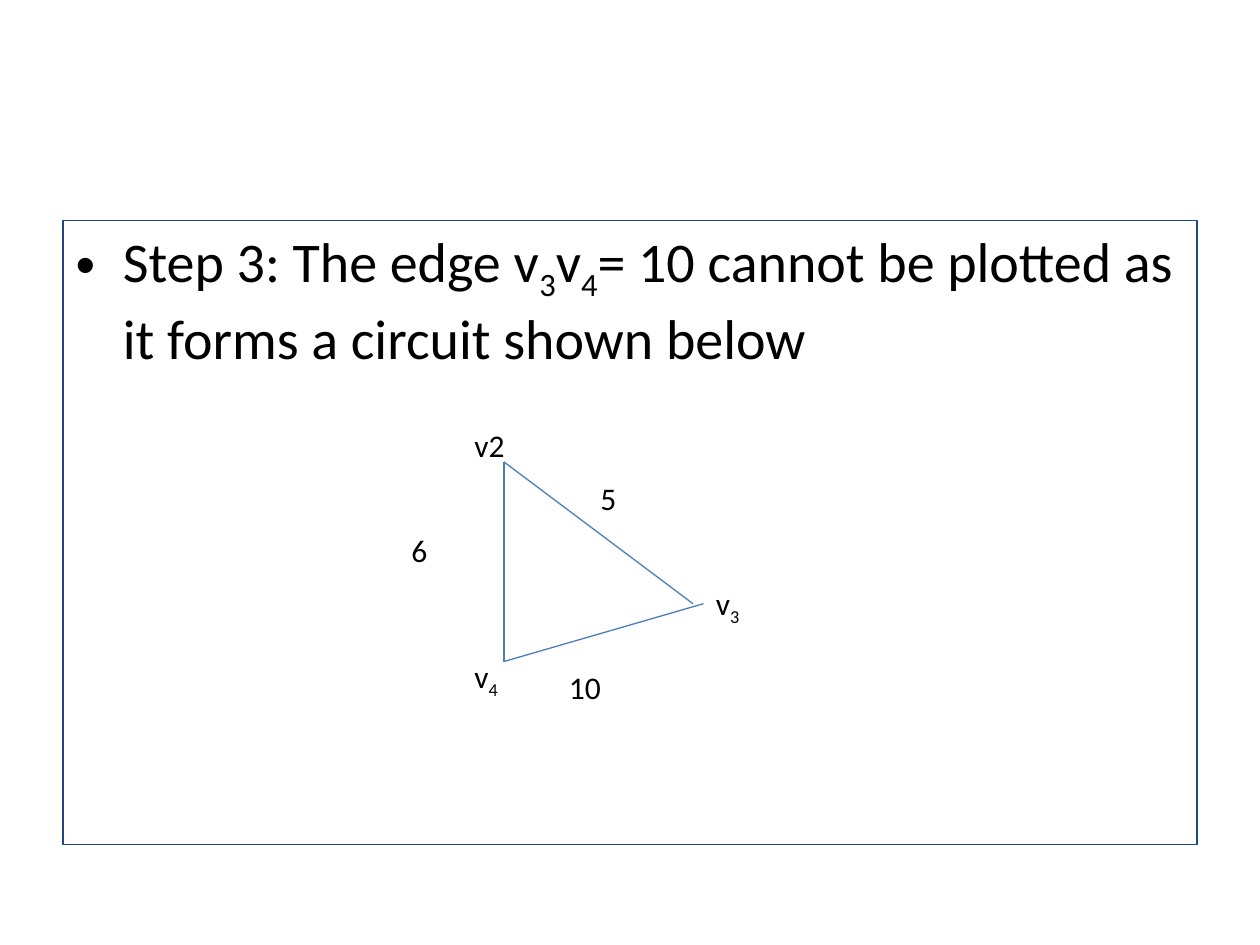
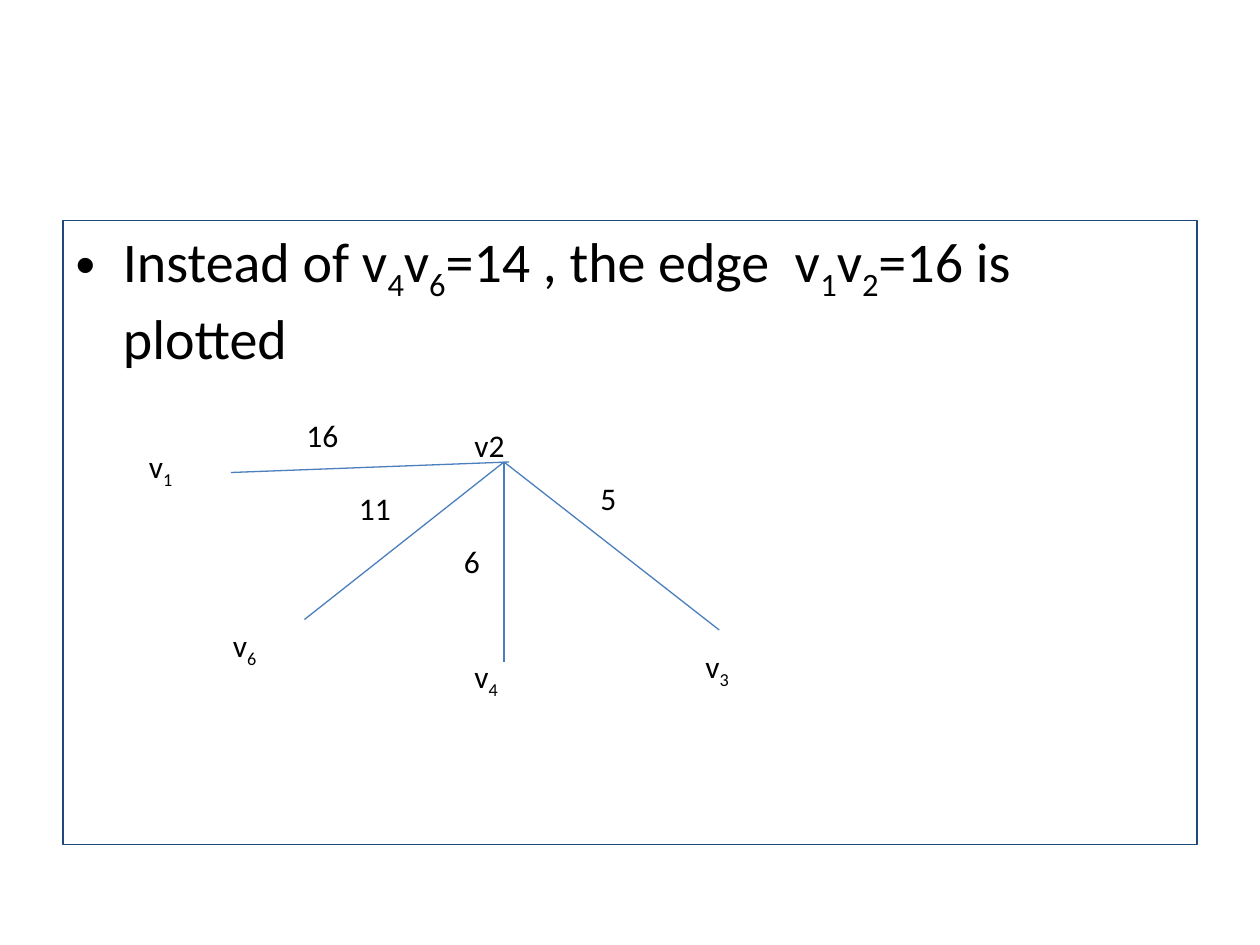
from dataclasses import dataclass

from lxml import etree
from pptx import Presentation
from pptx import util as u
from pptx.dml.color import RGBColor
from pptx.enum import shapes, text
from pptx.oxml.ns import qn

V2, V4 = (48, 44), (48, 63)
SHARED_LABELS = [("v2", 44, 40, 7), ("5", 56, 45, 11), ("v_4", 44, 62, 23)]
SHARED_EDGES = [(V2, V4)]

STEPS = [
    {
        "statement": "Step 3: The edge v_3v_4= 10 cannot be plotted as it forms a circuit shown below",
        "labels": [("v_3", 67, 55, 21), ("6", 38, 50, 9), ("10", 53, 63, 8)],
        "edges": [(V2, (66, 57.5)), (V4, (67, 57.5))],
    },
    {
        "statement": "Instead of v_4v_6=14 , the edge  v_1v_2=16 is plotted",
        "labels": [
            ("6", 43, 51, 9),
            ("v_6", 21, 59, 23),
            ("11", 33, 46, 11),
            ("v_3", 66, 61, 23),
            ("v_1", 13, 42, 11),
            ("16", 28, 39, 11),
        ],
        "edges": [(V2, (68.5, 60)), (V2, (29, 59)), ((22, 45), (48.5, 44))],
    },
]


@dataclass(frozen=True)
class Theme:
    font: str = "Calibri"
    ink: str = "000000"
    border: str = "1F497D"
    edge: str = "4B7EBC"
    line: float = 0.75
    statement_size: int = 32
    label_size: int = 18
    label_height: float = 4.8


THEME = Theme()
CELLS_PER_INCH = 12
PANEL = (6, 21, 108, 59.4)


def cells(*counts):
    return [u.Inches(count / CELLS_PER_INCH) for count in counts]


def write(frame, wording, size, color=THEME.ink):
    paragraph = frame.paragraphs[0]

    def add(part, baseline=None):
        if not part:
            return
        run = paragraph.add_run()
        run.text = part
        run.font.name = THEME.font
        run.font.size = u.Pt(size)
        run.font.color.rgb = RGBColor.from_string(color)
        if baseline:
            run.font._element.set("baseline", baseline)

    first, *rest = wording.split("_")
    add(first)
    for part in rest:
        add(part[0], baseline="-25000")
        add(part[1:])


def stroke(line, color):
    line.color.rgb = RGBColor.from_string(color)
    line.width = u.Pt(THEME.line)


def add_statement(slide, wording):
    title = slide.shapes.title._element
    title.getparent().remove(title)
    panel = slide.placeholders[1]
    panel.left, panel.top, panel.width, panel.height = cells(*PANEL)
    stroke(panel.line, THEME.border)
    write(panel.text_frame, wording, size=THEME.statement_size)


def add_edge(slide, start, end):
    edge = slide.shapes.add_connector(
        shapes.MSO_CONNECTOR.STRAIGHT, *cells(*start, *end)
    )
    stroke(edge.line, THEME.edge)
    etree.SubElement(edge._element.spPr, qn("a:effectLst"))


def add_label(slide, wording, left, top, width):
    label = slide.shapes.add_textbox(*cells(left, top, width, THEME.label_height))
    label.text_frame.word_wrap = True
    label.text_frame.auto_size = text.MSO_AUTO_SIZE.SHAPE_TO_FIT_TEXT
    write(label.text_frame, wording, size=THEME.label_size)


def main():
    deck = Presentation()
    deck.slide_width, deck.slide_height = u.Inches(10), u.Inches(7.5)
    for step in STEPS:
        slide = deck.slides.add_slide(deck.slide_layouts[1])
        add_statement(slide, step["statement"])
        for edge in SHARED_EDGES + step["edges"]:
            add_edge(slide, *edge)
        for label in SHARED_LABELS + step["labels"]:
            add_label(slide, *label)
    deck.save("out.pptx")


if __name__ == "__main__":
    main()
